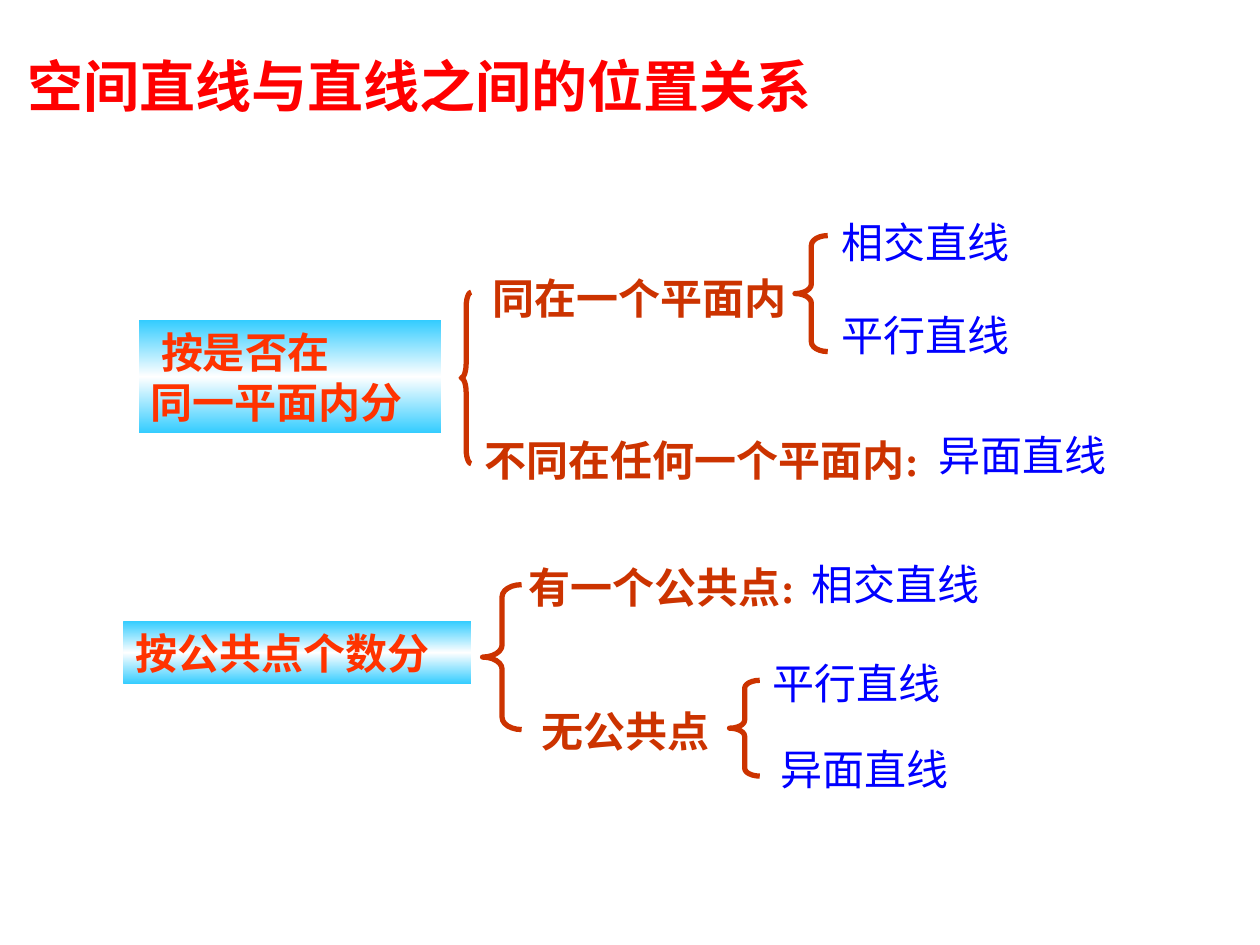
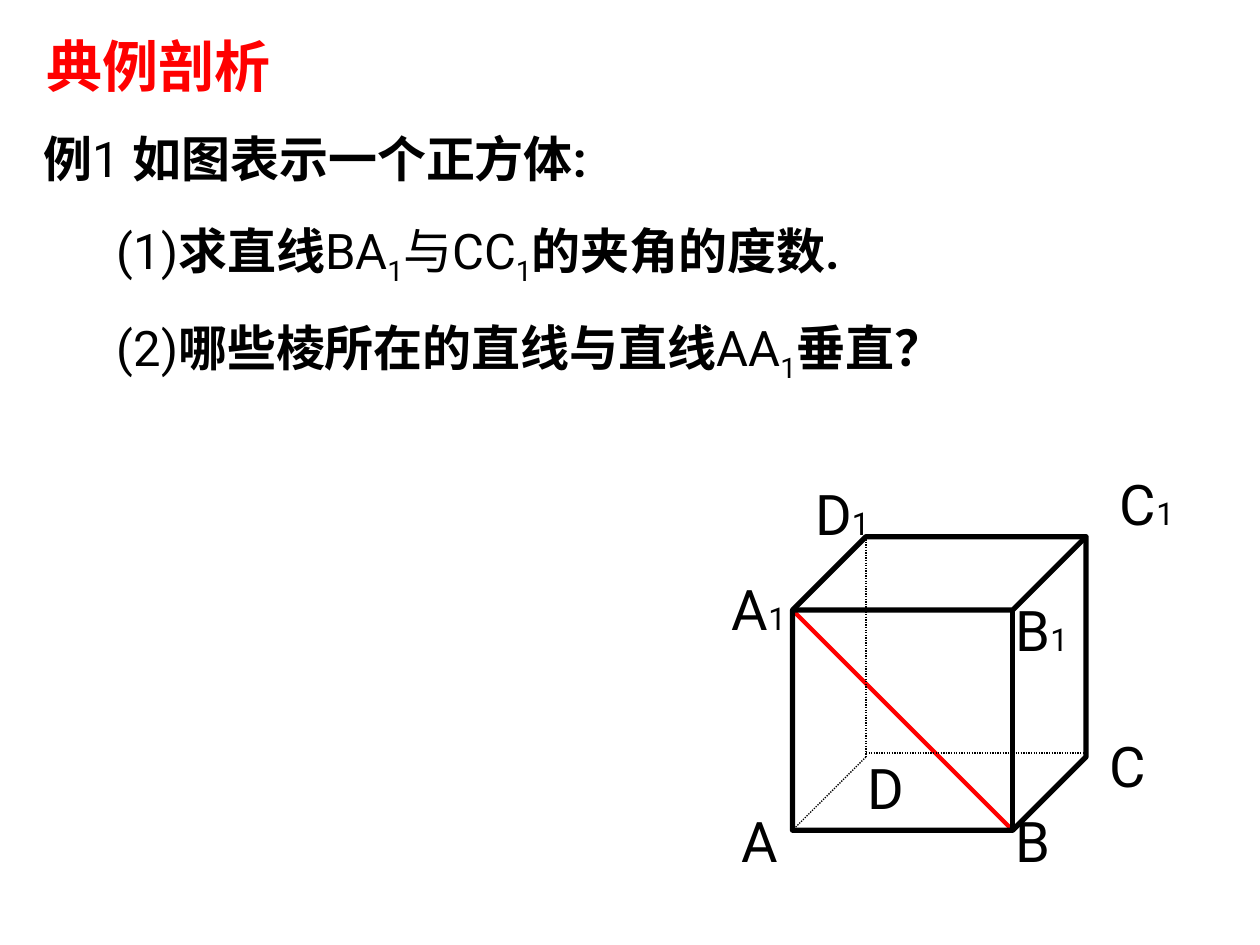
import copy

import pptx
import pptx.dml.color
import pptx.enum.dml
import pptx.enum.shapes
import pptx.enum.text
import pptx.oxml
import pptx.oxml.ns
import pptx.util

COLORS = {
    "title": "FF0000",
    "heading": "FF3300",
    "branch": "CC3300",
    "result": "0000FF",
    "ink": "000000",
    "band": "33CCFF",
    "glow": "FFFFFF",
}
SERIF, SANS, HAN = "Times New Roman", "Roboto", "Noto Sans CJK SC"
SHAPES = pptx.enum.shapes.MSO_SHAPE
BRANCH = {"color": "branch", "bold": True}
RESULT = {"color": "result"}
BOLD = {"bold": True}
SUBSCRIPT = {"baseline": -25000}


def rgb(name):
    """Return the named colour."""
    return pptx.dml.color.RGBColor.from_string(COLORS[name])


def inches(*values):
    """Turn numbers into lengths."""
    return [pptx.util.Inches(value) for value in values]


def style_span(span, size=24, font=SERIF, color="ink", bold=False, baseline=0):
    """Format one run of text."""
    span.font.size = pptx.util.Pt(size)
    span.font.bold = bold
    span.font.color.rgb = rgb(color)
    span.font.name = font
    properties = span.font._element
    east_asian = pptx.oxml.parse_xml(
        f'<a:ea {pptx.oxml.ns.nsdecls("a")} typeface="{HAN}"/>')
    properties.find(pptx.oxml.ns.qn("a:latin")).addnext(east_asian)
    if baseline:
        properties.set("baseline", str(baseline))


def write_text(shape, text, wrap=False, indent=0, **style):
    """Fill a shape with a string, or with pairs of text and run format."""
    frame = shape.text_frame
    frame.word_wrap = wrap
    frame.auto_size = pptx.enum.text.MSO_AUTO_SIZE.SHAPE_TO_FIT_TEXT
    frame.vertical_anchor = pptx.enum.text.MSO_ANCHOR.TOP
    spans = [(text, {})] if isinstance(text, str) else text
    para = frame.paragraphs[0]
    para.alignment = pptx.enum.text.PP_ALIGN.LEFT
    if indent:
        para._p.get_or_add_pPr().set("indent", str(pptx.util.Inches(indent)))
    for words, extra in spans:
        if words == "\n":
            para = frame.add_paragraph()
            para.alignment = pptx.enum.text.PP_ALIGN.LEFT
            continue
        span = para.add_run()
        span.text = words
        style_span(span, **{**style, **extra})


def add_text(page, box, text, **style):
    """Place a text box."""
    write_text(page.shapes.add_textbox(*inches(*box)), text, **style)


def add_title(page, box, text, font):
    """Place the red slide title."""
    add_text(page, box, text, wrap=True, size=32, font=font, color="title", bold=True)


def add_criterion(page, box, text, indent=0):
    """Place a heading on a glowing blue band."""
    band = page.shapes.add_shape(SHAPES.RECTANGLE, *inches(*box))
    band.shadow.inherit = False
    band.line.fill.background()
    band.fill.gradient()
    band.fill.gradient_angle = 270
    first = band._element.spPr.find(".//" + pptx.oxml.ns.qn("a:gs"))
    first.addnext(copy.deepcopy(first))
    for index, stop in enumerate(band.fill.gradient_stops):
        stop.position = index / 2
        stop.color.rgb = rgb("glow" if index == 1 else "band")
    write_text(band, text, wrap=True, indent=indent, color="heading", bold=True)


def add_brace(page, box):
    """Draw a left brace whose curls are a twelfth of its height."""
    brace = page.shapes.add_shape(SHAPES.LEFT_BRACE, *inches(*box))
    brace.shadow.inherit = False
    brace.fill.background()
    brace.line.color.rgb = rgb("branch")
    brace.line.width = pptx.util.Pt(3)
    brace.adjustments[0] = box[3] / 12 / box[2]


def add_tree(page, origin, criterion, labels, braces):
    """Draw one classification, its parts placed from its top left corner."""
    def place(box):
        return (origin[0] + box[0], origin[1] + box[1], *box[2:])

    box, text, indent = criterion
    add_criterion(page, place(box), text, indent)
    for left, top, width, words, style in labels:
        add_text(page, place((left, top, width, 0.5)), words, **style)
    for brace in braces:
        add_brace(page, place(brace))


def add_line(page, start, end, color, width, dash=None):
    """Draw a straight line."""
    line = page.shapes.add_connector(
        pptx.enum.shapes.MSO_CONNECTOR.STRAIGHT, *inches(*start, *end))
    line.line.color.rgb = rgb(color)
    line.line.width = pptx.util.Pt(width)
    if dash:
        line.line.dash_style = dash
    line._element.spPr.append(
        pptx.oxml.parse_xml(f'<a:effectLst {pptx.oxml.ns.nsdecls("a")}/>'))


def add_cube(page, left, top, side):
    """Draw the labelled cube with hidden edges and the diagonal A1B."""
    depth = side / 4
    right, bottom = left + side, top + side
    front_top, front_right = top + depth, right - depth
    back_left, back_bottom = left + depth, bottom - depth
    add_line(page, (front_right, bottom), (left, front_top), "title", 2.5)
    labels = [
        ("B", "", 1.67, 2.09), ("A", "", -0.5, 2.09),
        ("C", "", 2.42, 1.5), ("D", "", 0.5, 1.67),
        ("A", "1", -0.58, 0.25), ("B", "1", 1.67, 0.42),
        ("C", "1", 2.5, -0.58), ("D", "1", 0.08, -0.5),
    ]
    for letter, index, across, down in labels:
        spans = [(letter, {})] + ([(index, {"size": 18})] if index else [])
        box = (left + across, top + down, 0.75 if index else 0.58, 0.64)
        add_text(page, box, spans, wrap=True, size=32, font=SANS)
    cube = page.shapes.add_shape(SHAPES.CUBE, *inches(left, top, side, side))
    cube.shadow.inherit = False
    cube.fill.background()
    cube.line.color.rgb = rgb("ink")
    cube.line.width = pptx.util.Pt(3)
    cube.adjustments[0] = 0.25
    hidden_edges = [
        ((back_left, back_bottom - 0.03), (right, back_bottom - 0.03)),
        ((back_left, top), (back_left, back_bottom)),
        ((back_left, back_bottom), (left, bottom)),
    ]
    for start, end in hidden_edges:
        add_line(page, start, end, "ink", 0.75,
                 pptx.enum.dml.MSO_LINE_DASH_STYLE.ROUND_DOT)


def build_relations(page):
    """Build the slide that classifies pairs of lines."""
    add_criterion_text = [("按是否在", {}), ("\n", {}), ("同一平面内分", {})]
    add_tree(
        page, (1.1, 1.67),
        ((0, 0.87, 2.4, 0.9), add_criterion_text, 0.08),
        [
            (2.71, 0.44, 2.53, "同在一个平面内", BRANCH),
            (5.48, 0, 1.53, "相交直线", RESULT),
            (5.48, 0.74, 1.53, "平行直线", RESULT),
            (2.65, 1.73, 3.73, "不同在任何一个平面内:", BRANCH),
            (6.25, 1.69, 1.73, "异面直线", RESULT),
        ],
        [(2.56, 0.65, 0.08, 1.36), (5.21, 0.2, 0.26, 0.92)])
    add_tree(
        page, (0.98, 4.38),
        ((0, 0.55, 2.76, 0.5), "按公共点个数分", 0),
        [
            (3.12, 0.03, 2.4, "有一个公共点:", BRANCH),
            (5.36, 0, 1.53, "相交直线", RESULT),
            (3.22, 1.17, 1.53, "无公共点", BRANCH),
            (5.05, 0.79, 1.53, "平行直线", RESULT),
            (5.12, 1.47, 1.53, "异面直线", RESULT),
        ],
        [(4.81, 1.02, 0.24, 0.76), (2.85, 0.26, 0.31, 1.15)])
    add_title(page, (0.12, 0.36, 7.24, 0.64), "空间直线与直线之间的位置关系", HAN)


def build_example(page):
    """Build the worked example with its cube."""
    questions = [
        ((0.25, 0.97, 6.25, 0.57),
         [("例", BOLD), ("1 ", {}), ("如图表示一个正方体:", BOLD)]),
        ((0.83, 1.7, 6.85, 0.63),
         [("(1)", {}), ("求直线", BOLD), ("BA", {}), ("1", SUBSCRIPT),
          ("与CC", {}), ("1", SUBSCRIPT), ("的夹角的度数.", BOLD)]),
        ((0.83, 2.47, 7.17, 0.63),
         [("(2)", {}), ("哪些棱所在的直线与直线", BOLD), ("AA", {}),
          ("1", SUBSCRIPT), ("垂直？", BOLD)]),
    ]
    for box, spans in questions:
        add_text(page, box, spans, wrap=True, size=28, font=SANS)
    add_cube(page, 6.29, 4.26, 2.33)
    add_title(page, (0.27, 0.2, 2.13, 0.64), "典例剖析", "Arial")


def main():
    """Build and save the deck."""
    deck = pptx.Presentation()
    deck.slide_width, deck.slide_height = inches(10, 7.5)
    for build in (build_relations, build_example):
        build(deck.slides.add_slide(deck.slide_layouts[6]))
    deck.save("out.pptx")


if __name__ == "__main__":
    main()
